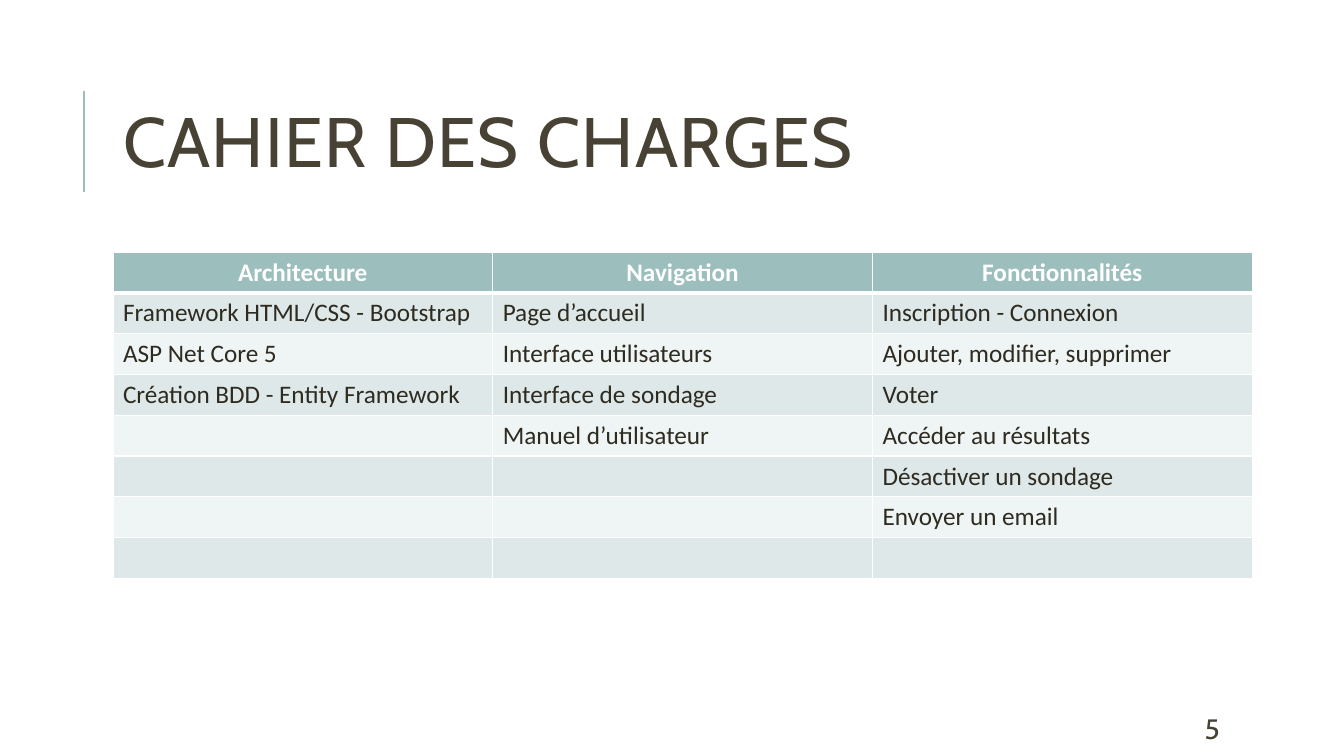
from lxml import etree
from pptx import Presentation
from pptx.dml.color import RGBColor
from pptx.enum.shapes import MSO_CONNECTOR
from pptx.enum.text import MSO_ANCHOR, PP_ALIGN
from pptx.oxml.ns import qn
from pptx.util import Emu, Pt

STRAIGHT = MSO_CONNECTOR.STRAIGHT
MIDDLE = MSO_ANCHOR.MIDDLE
LEFT, CENTER = PP_ALIGN.LEFT, PP_ALIGN.CENTER
TITLE_ONLY = 5

TEAL = RGBColor(0x9C, 0xBE, 0xBD)
BAND_DARK = RGBColor(0xDE, 0xE8, 0xE8)
BAND_LIGHT = RGBColor(0xEF, 0xF4, 0xF4)
BROWN = RGBColor(0x47, 0x42, 0x33)
INK = RGBColor(0x2E, 0x2B, 0x21)
WHITE = RGBColor(0xFF, 0xFF, 0xFF)

TITLE_FONT = {"name": "Cabin", "size": Pt(50), "bold": False}
NUMBER_FONT = {"name": "Cabin", "size": Pt(20)}
HEADER_FONT = {"name": "Calibri", "size": Pt(18), "bold": True}
BODY_FONT = {"name": "Calibri", "size": Pt(18), "bold": False}

COLUMNS = {
    "Architecture": [
        "Framework HTML/CSS - Bootstrap",
        "ASP Net Core 5",
        "Création BDD - Entity Framework",
    ],
    "Navigation": [
        "Page d’accueil",
        "Interface utilisateurs",
        "Interface de sondage",
        "Manuel d’utilisateur",
    ],
    "Fonctionnalités": [
        "Inscription - Connexion",
        "Ajouter, modifier, supprimer",
        "Voter",
        "Accéder au résultats",
        "Désactiver un sondage",
        "Envoyer un email",
    ],
}
ROW_COUNT = 8


def px(length):
    """Convert px, at 100 to the inch, into EMU."""
    return Emu(length * 9144)


def write_text(text_frame, text, font_format, color, alignment=LEFT):
    paragraph = text_frame.paragraphs[0]
    paragraph.alignment = alignment
    run = paragraph.add_run()
    run.text = text
    for name, value in font_format.items():
        setattr(run.font, name, value)
    run.font.color.rgb = color
    return paragraph


def place_title(slide, text, left, top, width, height):
    title = slide.shapes.title
    title.left, title.top = px(left), px(top)
    title.width, title.height = px(width), px(height)
    title.text_frame.vertical_anchor = MIDDLE
    title.text_frame.word_wrap = True
    paragraph = write_text(title.text_frame, text, TITLE_FONT, BROWN)
    paragraph.line_spacing = 0.8
    # Letter spacing, in hundredths of a point
    paragraph.runs[0].font._element.set("spc", "100")


def add_rule(slide, x, top, bottom):
    rule = slide.shapes.add_connector(STRAIGHT, px(x), px(bottom), px(x), px(top))
    rule.line.color.rgb = TEAL
    rule.line.width = Pt(1.5)
    etree.SubElement(rule._element.spPr, qn("a:effectLst"))


def add_page_number(slide, text, left, top, width, height):
    box = slide.shapes.add_textbox(px(left), px(top), px(width), px(height))
    box.text_frame.word_wrap = True
    box.text_frame.vertical_anchor = MIDDLE
    write_text(box.text_frame, text, NUMBER_FONT, BROWN)


def set_borders(cell, widths):
    properties = cell._tc.get_or_add_tcPr()
    for position, (side, width) in enumerate(widths.items()):
        line = etree.Element(qn(f"a:{side}"), w=str(Pt(width)))
        fill = etree.SubElement(line, qn("a:solidFill"))
        etree.SubElement(fill, qn("a:srgbClr"), val=str(WHITE))
        properties.insert(position, line)


def add_requirements_table(slide, left, top, width, height):
    frame = slide.shapes.add_table(
        ROW_COUNT, len(COLUMNS), px(left), px(top), px(width), px(height))
    table = frame.table
    for row in table.rows:
        row.height = px(height) // ROW_COUNT

    for column_index, (heading, entries) in enumerate(COLUMNS.items()):
        for row_index in range(ROW_COUNT):
            cell = table.cell(row_index, column_index)
            is_header = row_index == 0
            band = BAND_DARK if row_index % 2 else BAND_LIGHT
            cell.fill.solid()
            cell.fill.fore_color.rgb = TEAL if is_header else band
            set_borders(cell, {
                "lnL": 1,
                "lnR": 1,
                "lnT": 3 if row_index == 1 else 1,
                "lnB": 3 if is_header else 1,
            })
            if is_header:
                write_text(cell.text_frame, heading, HEADER_FONT, WHITE, CENTER)
            elif row_index <= len(entries):
                write_text(cell.text_frame, entries[row_index - 1], BODY_FONT, INK)


def main():
    presentation = Presentation()
    presentation.slide_width, presentation.slide_height = px(1333), px(750)
    slide = presentation.slides.add_slide(presentation.slide_layouts[TITLE_ONLY])

    # Heading with its vertical rule
    add_rule(slide, 83, 90, 190)
    place_title(slide, "CAHIER DES CHARGES", 112, 64, 1063, 164)

    # Page number
    add_page_number(slide, "5", 1185, 708, 106, 30)

    # Requirements by area
    add_requirements_table(slide, 112, 250, 1130, 324)

    presentation.save("out.pptx")


if __name__ == "__main__":
    main()
